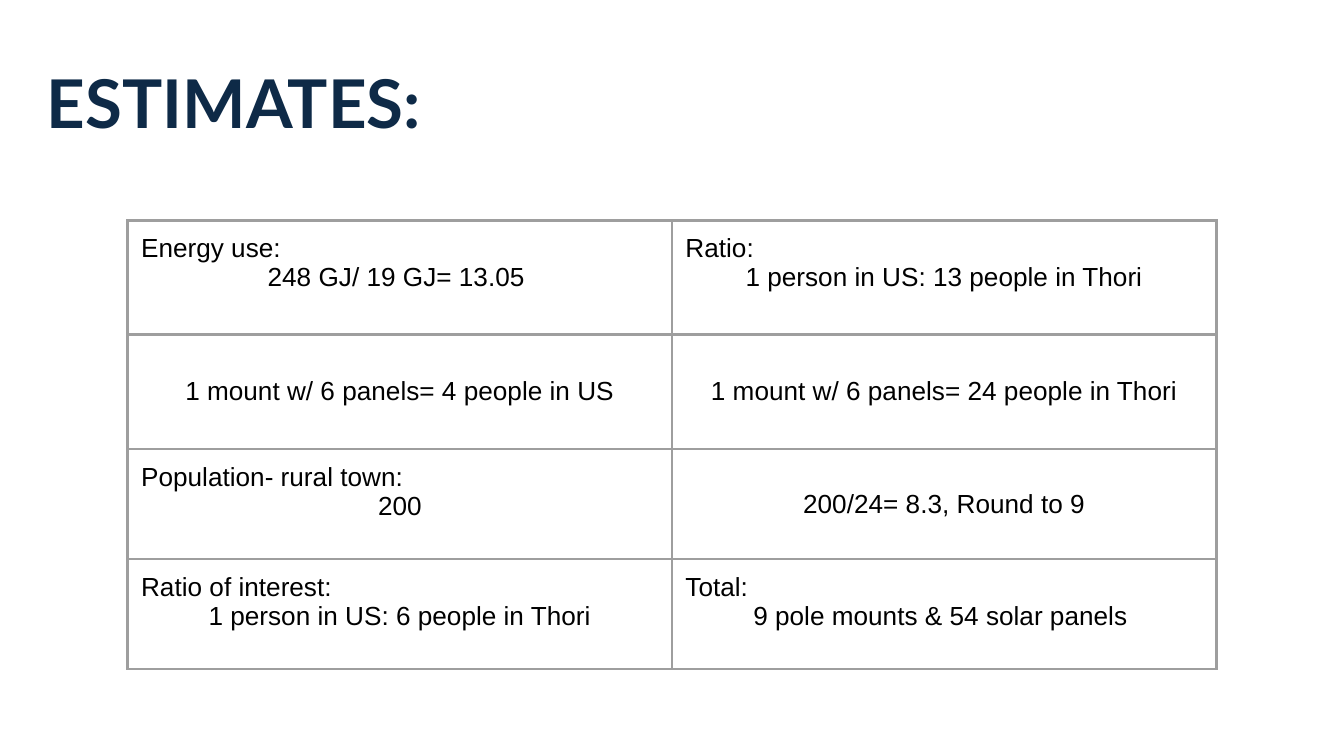
from lxml import etree
from pptx import Presentation
from pptx.dml.color import RGBColor
from pptx.enum.text import MSO_ANCHOR, PP_ALIGN
from pptx.oxml.ns import qn
from pptx.util import Inches, Pt

TOP, MIDDLE = MSO_ANCHOR.TOP, MSO_ANCHOR.MIDDLE
LEFT, CENTER = PP_ALIGN.LEFT, PP_ALIGN.CENTER

TITLE = "ESTIMATES:"
NAVY, BLACK, GREY = "0E2A47", "000000", "9E9E9E"
SLIDE_WIDTH = 10
SLIDE_HEIGHT = SLIDE_WIDTH * 9 / 16
INSET = Inches(0.1)
COL_WIDTH = 4.05
ROW_HEIGHTS = [0.85, 0.85, 0.82, 0.82]
ESTIMATES = [
    [("Energy use:", "248 GJ/ 19 GJ= 13.05 "),
     ("Ratio:", "1 person in US: 13 people in Thori")],
    [("", "1 mount w/ 6 panels= 4 people in US"),
     ("", "1 mount w/ 6 panels= 24 people in Thori")],
    [("Population- rural town:", "200"),
     ("", "200/24= 8.3, Round to 9")],
    [("Ratio of interest:", "1 person in US: 6 people in Thori"),
     ("Total:", "9 pole mounts & 54 solar panels ")],
]


def color(value):
    return RGBColor.from_string(value)


def set_insets(box):
    box.margin_left = box.margin_right = INSET
    box.margin_top = box.margin_bottom = INSET


def add_run(p, text, size, font, fill, bold=False):
    r = p.add_run()
    r.text = text
    r.font.size = Pt(size)
    r.font.name = font
    r.font.bold = bold
    r.font.color.rgb = color(fill)


def set_borders(cell):
    tc_pr = cell._tc.get_or_add_tcPr()
    for i, side in enumerate(("lnL", "lnR", "lnT", "lnB")):
        ln = etree.Element(qn(f"a:{side}"), w=str(Pt(1.5)))
        fill = etree.SubElement(ln, qn("a:solidFill"))
        etree.SubElement(fill, qn("a:srgbClr"), val=GREY)
        tc_pr.insert(i, ln)


def fill_cell(cell, label, value):
    cell.fill.background()
    set_borders(cell)
    set_insets(cell)
    cell.vertical_anchor = TOP if label else MIDDLE
    tf = cell.text_frame
    p = tf.paragraphs[0]
    if label:
        p.alignment = LEFT
        add_run(p, label, 14, "Arial", BLACK)
        p = tf.add_paragraph()
    p.alignment = CENTER
    add_run(p, value, 14, "Arial", BLACK)


prs = Presentation()
prs.slide_width, prs.slide_height = Inches(SLIDE_WIDTH), Inches(SLIDE_HEIGHT)
s = prs.slides.add_slide(prs.slide_layouts[6])

frame = s.shapes.add_table(
    len(ESTIMATES), 2, Inches(0.95), Inches(1.64),
    Inches(2 * COL_WIDTH), Inches(sum(ROW_HEIGHTS)))
table = frame.table
table.first_row = table.horz_banding = False
for column in table.columns:
    column.width = Inches(COL_WIDTH)
for row, height, entries in zip(table.rows, ROW_HEIGHTS, ESTIMATES):
    row.height = Inches(height)
    for cell, (label, value) in zip(row.cells, entries):
        fill_cell(cell, label, value)

title = s.shapes.add_textbox(Inches(0.25), Inches(0.36), Inches(4.11), Inches(0.53))
tf = title.text_frame
tf.word_wrap = True
tf.vertical_anchor = TOP
set_insets(tf)
add_run(tf.paragraphs[0], TITLE, 36, "Lato", NAVY, bold=True)

prs.save("out.pptx")
